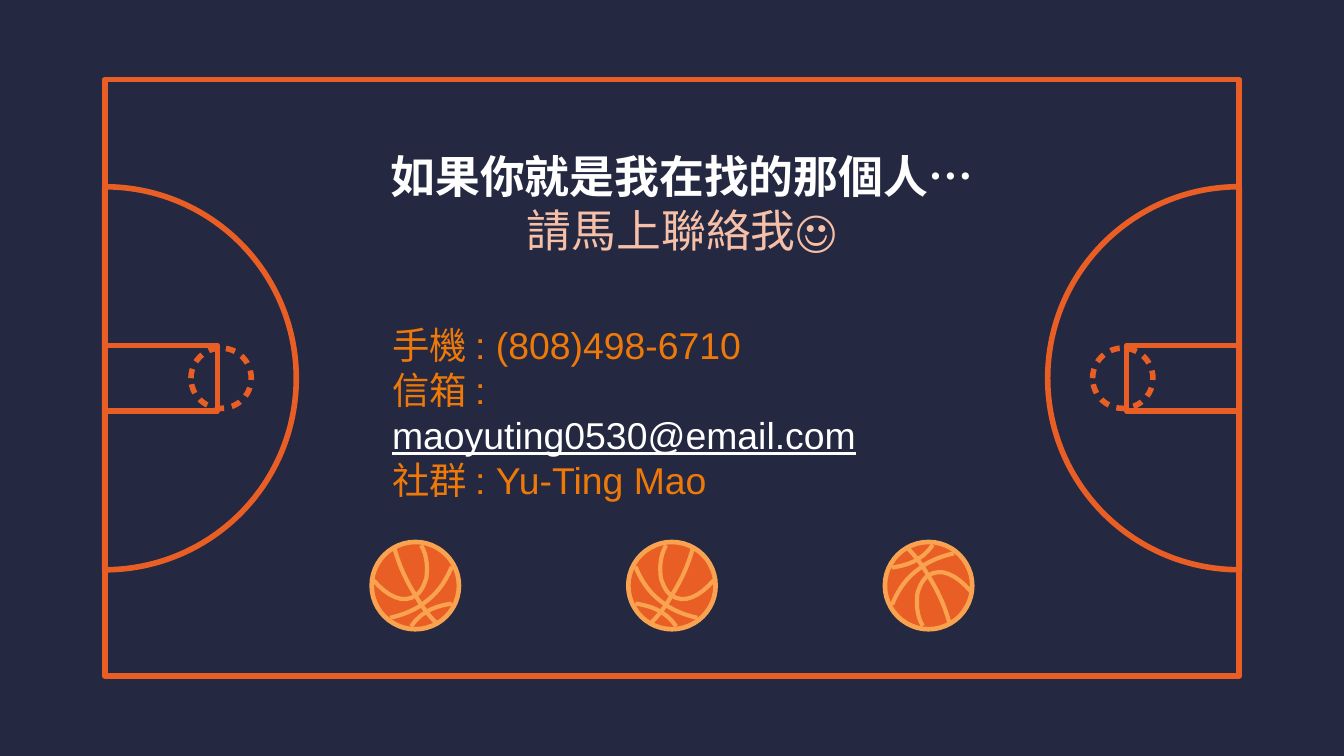
from dataclasses import dataclass

from lxml.etree import SubElement
from pptx import Presentation
from pptx.dml.color import RGBColor
from pptx.enum.shapes import MSO_SHAPE
from pptx.enum.text import MSO_ANCHOR, MSO_AUTO_SIZE, PP_ALIGN
from pptx.oxml.ns import qn
from pptx.util import Cm, Pt


@dataclass(frozen=True)
class Theme:
    background: str = "242841"
    court: str = "E95E24"
    seam: str = "F9A350"
    heading: str = "FFFFFF"
    accent: str = "F6BFA7"
    contact: str = "EF7908"
    font: str = "Arial"
    accent_font: str = "TeX Gyre Bonum"
    title_size: float = 24
    body_size: float = 20
    court_line: float = 3
    ball_line: float = 2.5
    seam_line: float = 2.25


SEAMS = (
    ((0.39, -0.69), (0.29, -0.33), (0.15, -0.06), (0, 0.18),
     (-0.12, 0.39), (-0.25, 0.56), (-0.38, 0.69)),
    ((-0.11, -0.76), (-0.23, -0.56), (-0.23, -0.33), (-0.21, -0.15),
     (-0.16, 0.02), (-0.1, 0.12), (-0.02, 0.18),
     (0.23, 0.36), (0.53, 0.2), (0.79, -0.1)),
    ((-0.69, -0.36), (-0.55, -0.02), (-0.38, 0.18), (-0.15, 0.34),
     (0, 0.46), (0.25, 0.56), (0.48, 0.61)),
    ((-0.69, 0.34), (-0.43, 0.38), (-0.13, 0.46), (0.08, 0.77)),
)


def sample_curve(points, steps=8):
    curve = [points[0]]
    for first in range(0, len(points) - 1, 3):
        controls = points[first:first + 4]
        for step in range(1, steps + 1):
            t = step / steps
            weights = ((1 - t) ** 3, 3 * t * (1 - t) ** 2, 3 * t * t * (1 - t), t ** 3)
            curve.append(tuple(sum(weight * control[axis] for weight, control in zip(weights, controls))
                               for axis in (0, 1)))
    return curve


def apply_format(target, values):
    for name, value in values.items():
        setattr(target, name, value)


class CourtSlide:
    """Draws styled elements on one title-only slide."""

    def __init__(self, presentation, theme):
        self.theme = theme
        self.slide = presentation.slides.add_slide(presentation.slide_layouts[5])
        fill = self.slide.background.fill
        fill.solid()
        fill.fore_color.rgb = RGBColor.from_string(theme.background)

    def style(self, shape, line_color, line_width, fill_color=None):
        shape.shadow.inherit = False
        if fill_color:
            shape.fill.solid()
            shape.fill.fore_color.rgb = RGBColor.from_string(fill_color)
        else:
            shape.fill.background()
        shape.line.color.rgb = RGBColor.from_string(line_color)
        shape.line.width = Pt(line_width)

    def outline(self, kind, left, top, width, height, rotation=0):
        shape = self.slide.shapes.add_shape(kind, Cm(left), Cm(top), Cm(width), Cm(height))
        shape.rotation = rotation
        self.style(shape, self.theme.court, self.theme.court_line)
        return shape

    def dashed_circle(self, center_x, center_y, diameter):
        circle = self.outline(MSO_SHAPE.OVAL, center_x - diameter / 2, center_y - diameter / 2,
                              diameter, diameter)
        dashes = SubElement(circle.line._get_or_add_ln(), qn("a:custDash"))
        SubElement(dashes, qn("a:ds"), d="170000", sp="140000")

    def half_circle(self, center_x, center_y, diameter, rotation):
        arc = self.outline(MSO_SHAPE.PIE, center_x - diameter / 2, center_y - diameter / 2,
                           diameter, diameter, rotation)
        arc.adjustments[0], arc.adjustments[1] = 0, 108

    def ball(self, center_x, center_y, diameter, flip_x, flip_y):
        theme = self.theme
        disc = self.slide.shapes.add_shape(
            MSO_SHAPE.OVAL, Cm(center_x - diameter / 2), Cm(center_y - diameter / 2),
            Cm(diameter), Cm(diameter))
        self.style(disc, theme.seam, theme.ball_line, theme.court)
        for seam in SEAMS:
            points = [(Cm(center_x + flip_x * x), Cm(center_y + flip_y * y))
                      for x, y in sample_curve(seam)]
            builder = self.slide.shapes.build_freeform(*points[0])
            builder.add_line_segments(points[1:], close=False)
            self.style(builder.convert_to_shape(), theme.seam, theme.seam_line)

    def run(self, paragraph, text, color, **font_values):
        run = paragraph.add_run()
        run.text = text
        apply_format(run.font, font_values)
        run.font.color.rgb = RGBColor.from_string(color)

    def title(self, left, top, width, height, heading, invitation):
        theme = self.theme
        title = self.slide.shapes.title
        apply_format(title, {"left": Cm(left), "top": Cm(top), "width": Cm(width), "height": Cm(height)})
        apply_format(title.text_frame, {
            "auto_size": MSO_AUTO_SIZE.NONE, "word_wrap": True, "vertical_anchor": MSO_ANCHOR.MIDDLE})
        paragraph = title.text_frame.paragraphs[0]
        paragraph.alignment = PP_ALIGN.CENTER
        size = Pt(theme.title_size)
        self.run(paragraph, heading, theme.heading, name=theme.font, size=size, bold=True)
        paragraph.add_line_break()
        self.run(paragraph, invitation, theme.accent, name=theme.accent_font, size=size, bold=False)

    def contacts(self, left, top, width, height, entries):
        theme = self.theme
        frame = self.slide.shapes.add_textbox(Cm(left), Cm(top), Cm(width), Cm(height)).text_frame
        frame.word_wrap = True
        font = {"name": theme.font, "size": Pt(theme.body_size)}
        for index, (label, address) in enumerate(entries):
            paragraph = frame.add_paragraph() if index else frame.paragraphs[0]
            self.run(paragraph, label, theme.contact, **font)
            if address:
                paragraph.add_line_break()
                self.run(paragraph, address, theme.heading, underline=True, **font)


def main():
    presentation = Presentation()
    apply_format(presentation, {"slide_width": Cm(25.4), "slide_height": Cm(14.29)})
    court = CourtSlide(presentation, Theme())

    left, right, middle = 1.98, 23.42, 7.15
    key_width, key_height = 2.13, 1.24
    court.outline(MSO_SHAPE.RECTANGLE, left, 1.5, right - left, 11.28)
    court.title(4.72, 2.39, 16.33, 2.87, "如果你就是我在找的那個人…", "請馬上聯絡我☺")

    for index, flips in enumerate(((-1, 1), (1, 1), (1, -1))):
        court.ball(7.85 + 4.85 * index, 11.07, 1.65, *flips)

    for edge, inward, rotation in ((right, -1, 90), (left, 1, 270)):
        court.dashed_circle(edge + inward * 2.2, middle, 1.14)
        court.half_circle(edge, middle, 7.24, rotation)
        court.outline(MSO_SHAPE.RECTANGLE, min(edge, edge + inward * key_width),
                      middle - key_height / 2, key_width, key_height)

    court.contacts(7.16, 5.97, 11.35, 3.65, (
        ("手機 : (808)498-6710", None),
        ("信箱 : ", "maoyuting0530@email.com"),
        ("社群 : Yu-Ting Mao", None),
    ))
    presentation.save("out.pptx")


if __name__ == "__main__":
    main()
